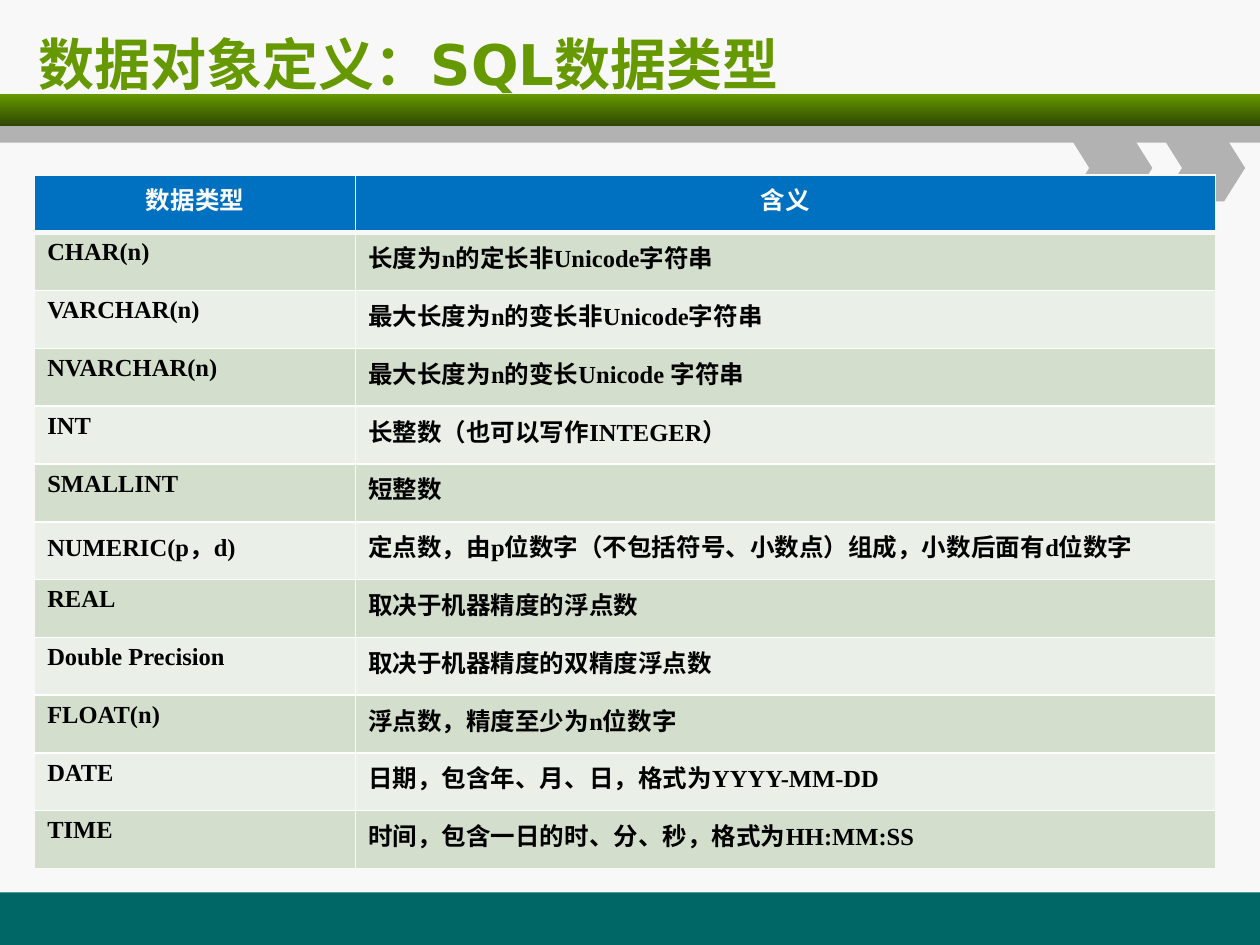
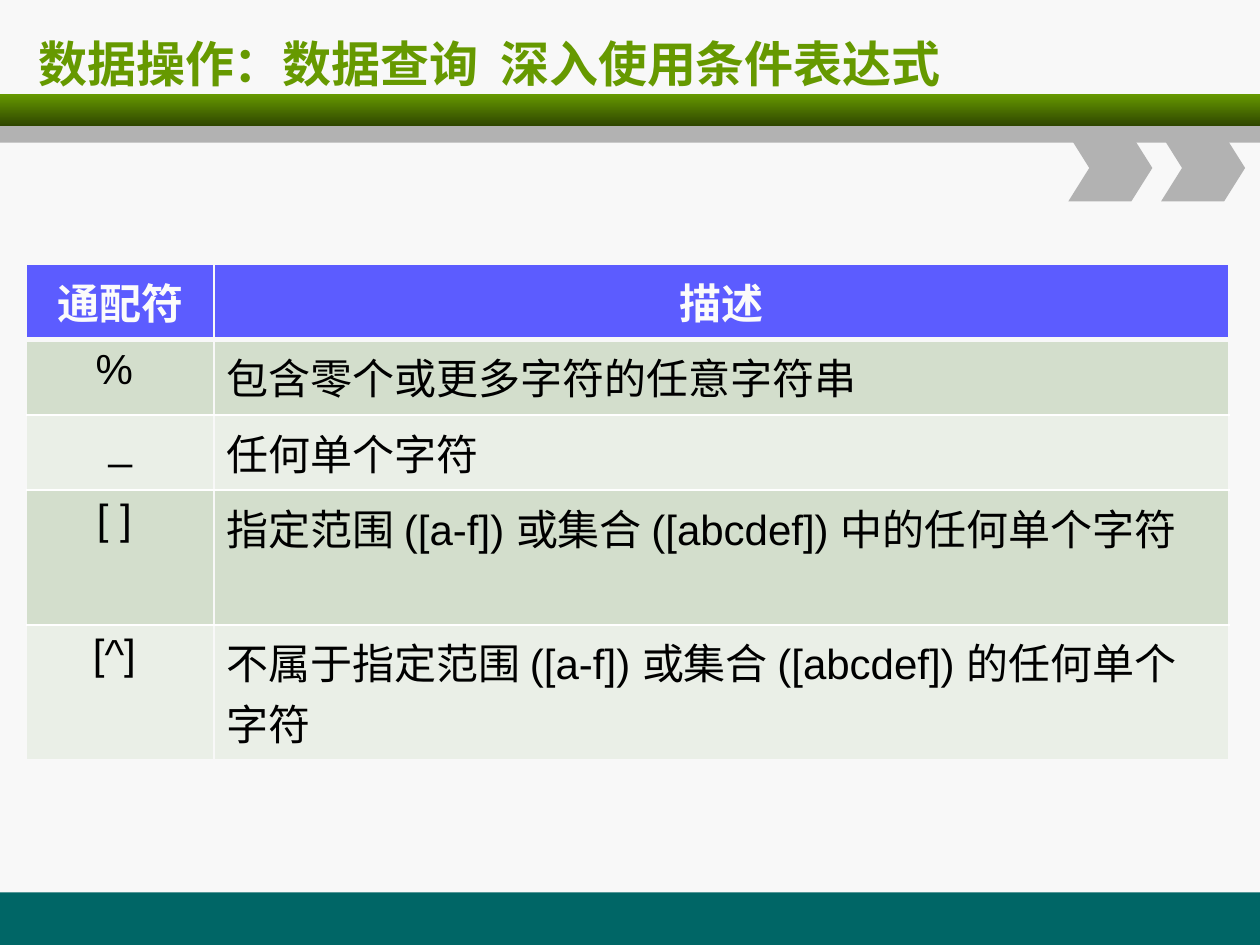
import pptx
import pptx.dml.color
import pptx.enum.shapes
import pptx.enum.text
import pptx.oxml.ns
import pptx.util
from lxml import etree

Pt = pptx.util.Pt
RGBColor = pptx.dml.color.RGBColor
Shape = pptx.enum.shapes.MSO_SHAPE
Align = pptx.enum.text.PP_ALIGN

# Shared colours
PAPER = RGBColor(0xF8, 0xF8, 0xF8)
TEAL = RGBColor(0x00, 0x66, 0x66)
GREEN = RGBColor(0x66, 0x99, 0x00)
DARK_GREEN = RGBColor(0x2F, 0x46, 0x00)
GREY = RGBColor(0xB2, 0xB2, 0xB2)
HEADER_TEXT = RGBColor(0xFB, 0xFB, 0xFB)
BLACK = RGBColor(0x00, 0x00, 0x00)
BLUE = RGBColor(0x00, 0x70, 0xC0)
VIOLET = RGBColor(0x5C, 0x5C, 0xFF)
BAND_ODD = RGBColor(0xD3, 0xDE, 0xCC)
BAND_EVEN = RGBColor(0xEA, 0xEF, 0xE7)

TITLE_FONT = "DejaVu Sans"
PAGE_WIDTH, PAGE_HEIGHT = 720, 540

# Table contents, header row first
DATA_TYPES = [
    ("数据类型", "含义"),
    ("CHAR(n)", "长度为n的定长非Unicode字符串"),
    ("VARCHAR(n)", "最大长度为n的变长非Unicode字符串"),
    ("NVARCHAR(n)", "最大长度为n的变长Unicode 字符串"),
    ("INT", "长整数（也可以写作INTEGER）"),
    ("SMALLINT", "短整数"),
    ("NUMERIC(p，d)", "定点数，由p位数字（不包括符号、小数点）组成，小数后面有d位数字"),
    ("REAL", "取决于机器精度的浮点数"),
    ("Double Precision", "取决于机器精度的双精度浮点数"),
    ("FLOAT(n)", "浮点数，精度至少为n位数字"),
    ("DATE", "日期，包含年、月、日，格式为YYYY-MM-DD"),
    ("TIME", "时间，包含一日的时、分、秒，格式为HH:MM:SS"),
]
WILDCARDS = [
    ("通配符", "描述"),
    ("% ", "包含零个或更多字符的任意字符串"),
    ("_", "任何单个字符"),
    ("[ ] ", "指定范围 ([a-f]) 或集合 ([abcdef]) 中的任何单个字符"),
    ("[^] ", "不属于指定范围 ([a-f]) 或集合 ([abcdef]) 的任何单个字符"),
]


def add_span(para, text, font, size, color, bold):
    span = para.add_run()
    span.text = text
    span.font.name = font
    span.font.size = Pt(size)
    span.font.bold = bold
    span.font.color.rgb = color
    return span


def add_block(page, kind, left, top, width, height, color):
    block = page.shapes.add_shape(kind, Pt(left), Pt(top), Pt(width), Pt(height))
    block.shadow.inherit = False
    block.line.fill.background()
    block.fill.solid()
    block.fill.fore_color.rgb = color
    return block


def add_bands(page):
    """Footer bar, gradient bar, grey strip and the two chevrons."""
    add_block(page, Shape.RECTANGLE, 0, 510, PAGE_WIDTH, 30, TEAL)
    bar = add_block(page, Shape.RECTANGLE, 0, 53.8, PAGE_WIDTH, 18.2, GREEN)
    bar.fill.gradient()
    bar.fill.gradient_angle = 270
    for stop, color, position in zip(bar.fill.gradient_stops, (GREEN, DARK_GREEN), (0, 1)):
        stop.color.rgb = color
        stop.position = position
    add_block(page, Shape.RECTANGLE, 0, 72, PAGE_WIDTH, 9.5, GREY)
    for left in (610.5, 663.5):
        chevron = add_block(page, Shape.CHEVRON, left, 77, 48, 38, GREY)
        chevron.adjustments[0] = 0.314


def add_title(page, parts, size):
    """Title line; a wider gap separates its parts."""
    box = page.shapes.add_textbox(Pt(14.8), Pt(12), Pt(687.6), Pt(48))
    box.text_frame.word_wrap = True
    box.text_frame.vertical_anchor = pptx.enum.text.MSO_ANCHOR.MIDDLE
    para = box.text_frame.paragraphs[0]
    for index, part in enumerate(parts):
        if index:
            gap = add_span(para, " ", TITLE_FONT, size, GREEN, True)
            gap.font._element.set("spc", "600")
        add_span(para, part, TITLE_FONT, size, GREEN, True)


def add_page(deck, title_parts, title_size):
    page = deck.slides.add_slide(deck.slide_layouts[6])
    page.background.fill.solid()
    page.background.fill.fore_color.rgb = PAPER
    add_bands(page)
    add_title(page, title_parts, title_size)
    return page


def set_borders(cell, widths):
    """Draw the given sides; widths maps L, R, T, B to points."""
    properties = cell._tc.get_or_add_tcPr()
    for side, width in widths.items():
        line = etree.SubElement(properties, pptx.oxml.ns.qn(f"a:ln{side}"), w=str(Pt(width)))
        fill = etree.SubElement(line, pptx.oxml.ns.qn("a:solidFill"))
        etree.SubElement(fill, pptx.oxml.ns.qn("a:srgbClr"), val=str(PAPER))


def add_banded_table(page, rows, left, top, columns, heights, header_fill,
                     font, size, body_bold, key_align, hanging=0):
    frame = page.shapes.add_table(len(rows), len(columns), Pt(left), Pt(top),
                                  Pt(sum(columns)), Pt(sum(heights)))
    table = frame.table
    for column, width in zip(table.columns, columns):
        column.width = Pt(width)
    for row_index, (texts, height) in enumerate(zip(rows, heights)):
        table.rows[row_index].height = Pt(height)
        header = row_index == 0
        band = header_fill if header else (BAND_EVEN, BAND_ODD)[row_index % 2]
        borders = {"L": 1, "R": 1, "T": 1, "B": 3} if header else {"L": 1, "R": 1, "B": 1}
        for column_index, text in enumerate(texts):
            cell = table.cell(row_index, column_index)
            set_borders(cell, borders)
            cell.fill.solid()
            cell.fill.fore_color.rgb = band
            para = cell.text_frame.paragraphs[0]
            if header:
                para.alignment = Align.CENTER
            else:
                para.alignment = key_align if column_index == 0 else Align.LEFT
            if hanging:
                settings = para._p.get_or_add_pPr()
                settings.set("marL", str(Pt(hanging)))
                settings.set("indent", str(-Pt(hanging)))
            add_span(para, text, font, size, HEADER_TEXT if header else BLACK,
                     header or body_bold)


def main():
    deck = pptx.Presentation()
    deck.slide_width, deck.slide_height = Pt(PAGE_WIDTH), Pt(PAGE_HEIGHT)

    # SQL data types
    page = add_page(deck, ["数据对象定义：SQL数据类型"], 32)
    add_banded_table(page, DATA_TYPES, 19.8, 100, [183.4, 491.4],
                     [33.05] * len(DATA_TYPES), BLUE, "Times New Roman", 14,
                     body_bold=True, key_align=Align.LEFT, hanging=27)

    # Wildcards: the last two descriptions need two lines
    one_line, two_lines = 43, 77
    page = add_page(deck, ["数据操作：数据查询", "深入使用条件表达式"], 28)
    add_banded_table(page, WILDCARDS, 15.1, 151.2, [107.2, 580],
                     [one_line] * 3 + [two_lines] * 2, VIOLET, "Arial", 24,
                     body_bold=False, key_align=Align.CENTER)

    deck.save("out.pptx")


if __name__ == "__main__":
    main()
